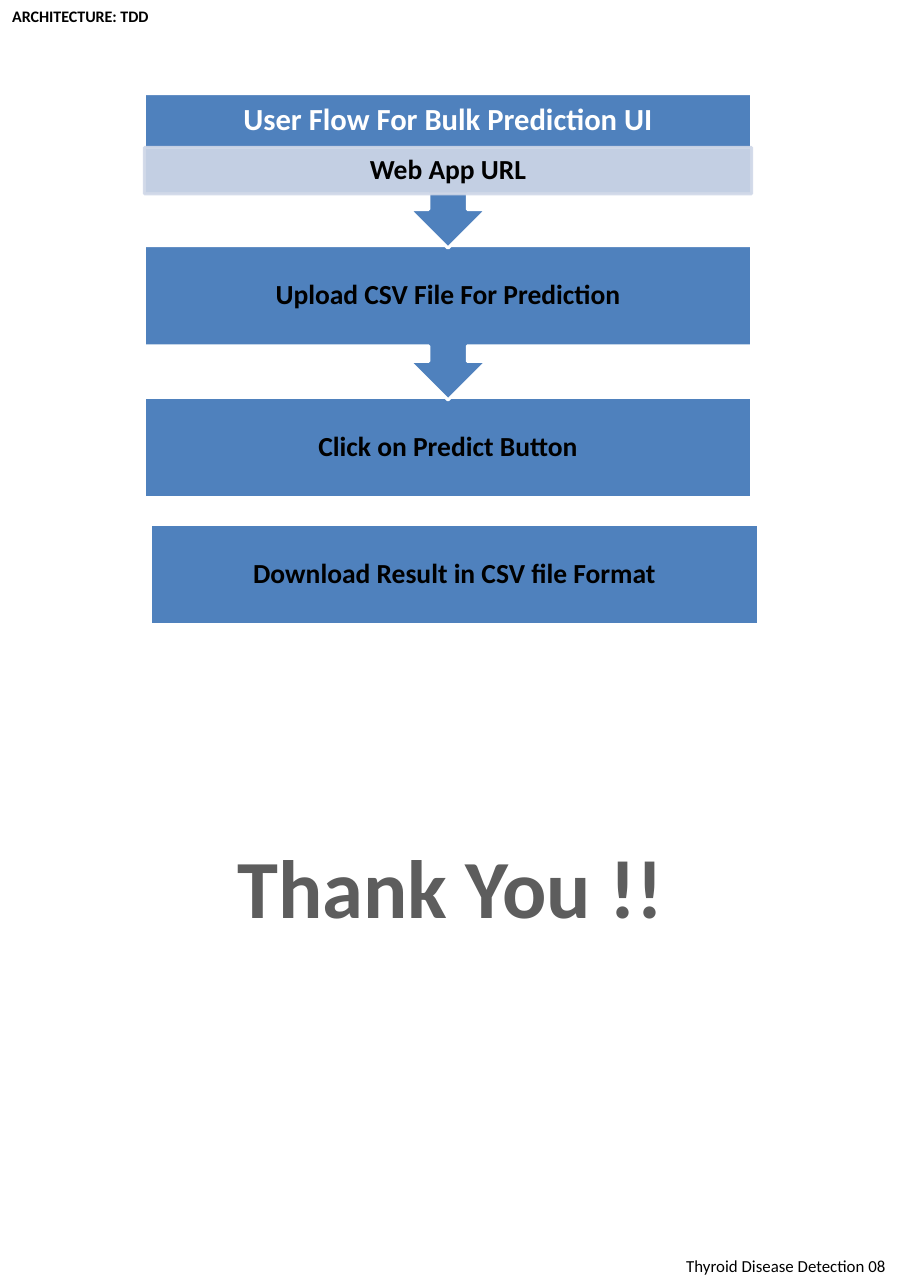
from lxml.etree import SubElement
from pptx import Presentation
from pptx.dml.color import RGBColor
from pptx.enum.shapes import MSO_SHAPE
from pptx.enum.text import MSO_ANCHOR, PP_ALIGN
from pptx.oxml.ns import qn
from pptx.util import Cm, Pt

BLUE, PALE_BLUE = "4F81BD", "D0D8E8"
BLACK, WHITE, GREY = "000000", "FFFFFF", "5D5D5D"
FLOW_LEFT, FLOW_TOP, FLOW_WIDTH = 3.33, 2.16, 14
STEP_PITCH, BOX_HEIGHT, CALLOUT_HEIGHT = 3.5, 2.31, 3.56
HEADING_HEIGHT, URL_HEIGHT = 1.24, 1.07


def color(hex_string):
    return RGBColor.from_string(hex_string)


def add_run(paragraph, text, size, font_color, bold=True):
    run = paragraph.add_run()
    run.text = text
    run.font.name = "Calibri"
    run.font.size = Pt(size)
    run.font.bold = bold
    run.font.color.rgb = color(font_color)


def add_label(slide, text, left, top, width, size, bold):
    box = slide.shapes.add_textbox(Cm(left), Cm(top), Cm(width), Cm(0.74))
    box.text_frame.word_wrap = True
    add_run(box.text_frame.paragraphs[0], text, size, BLACK, bold)


def add_step(slide, text, top, height=BOX_HEIGHT, left=FLOW_LEFT, kind=MSO_SHAPE.RECTANGLE,
             fill=BLUE, line=WHITE, size=18, font_color=BLACK, bottom_inset=0):
    shape = slide.shapes.add_shape(kind, Cm(left), Cm(top), Cm(FLOW_WIDTH), Cm(height))
    shape.shadow.inherit = False
    shape.fill.solid()
    shape.fill.fore_color.rgb = color(fill)
    shape.line.color.rgb = color(line)
    shape.line.width = Pt(2)
    frame = shape.text_frame
    frame.word_wrap = True
    frame.vertical_anchor = MSO_ANCHOR.MIDDLE
    frame.margin_top = 0
    frame.margin_bottom = Cm(bottom_inset)
    paragraph = frame.paragraphs[0]
    paragraph.alignment = PP_ALIGN.CENTER
    paragraph.line_spacing = 0.9
    add_run(paragraph, text, size, font_color)
    return shape


def set_opacity(shape, percent):
    for color_element in shape._element.spPr.iter(qn("a:srgbClr")):
        SubElement(color_element, qn("a:alpha")).set("val", str(percent * 1000))


def format_title(slide, text):
    title = slide.shapes.title
    title.left, title.top, title.width, title.height = Cm(2.87), Cm(19.13), Cm(15.04), Cm(2.57)
    title.text_frame.vertical_anchor = MSO_ANCHOR.TOP
    paragraph = title.text_frame.paragraphs[0]
    paragraph.alignment = PP_ALIGN.CENTER
    add_run(paragraph, text, 54, GREY)


def main():
    presentation = Presentation()
    presentation.slide_width, presentation.slide_height = Cm(20.98), Cm(29.69)
    slide = presentation.slides.add_slide(presentation.slide_layouts[5])

    format_title(slide, "Thank You !!")
    add_label(slide, "ARCHITECTURE: TDD", 0.03, 0.03, 5.72, 10.5, True)
    add_label(slide, "Thyroid Disease Detection 08", 15.57, 28.83, 5.28, 11, False)

    add_step(slide, "Click on Predict Button", FLOW_TOP + 2 * STEP_PITCH)
    add_step(slide, "Upload CSV File For Prediction", FLOW_TOP + STEP_PITCH, CALLOUT_HEIGHT,
             kind=MSO_SHAPE.DOWN_ARROW_CALLOUT)
    add_step(slide, "User Flow For Bulk Prediction UI", FLOW_TOP, CALLOUT_HEIGHT,
             kind=MSO_SHAPE.DOWN_ARROW_CALLOUT, size=20, font_color=WHITE,
             bottom_inset=URL_HEIGHT)
    web_app = add_step(slide, "Web App URL", FLOW_TOP + HEADING_HEIGHT, URL_HEIGHT,
                       fill=PALE_BLUE, line=PALE_BLUE)
    set_opacity(web_app, 90)
    add_step(slide, "Download Result in CSV file Format", 12.09, left=3.48)

    presentation.save("out.pptx")


main()
